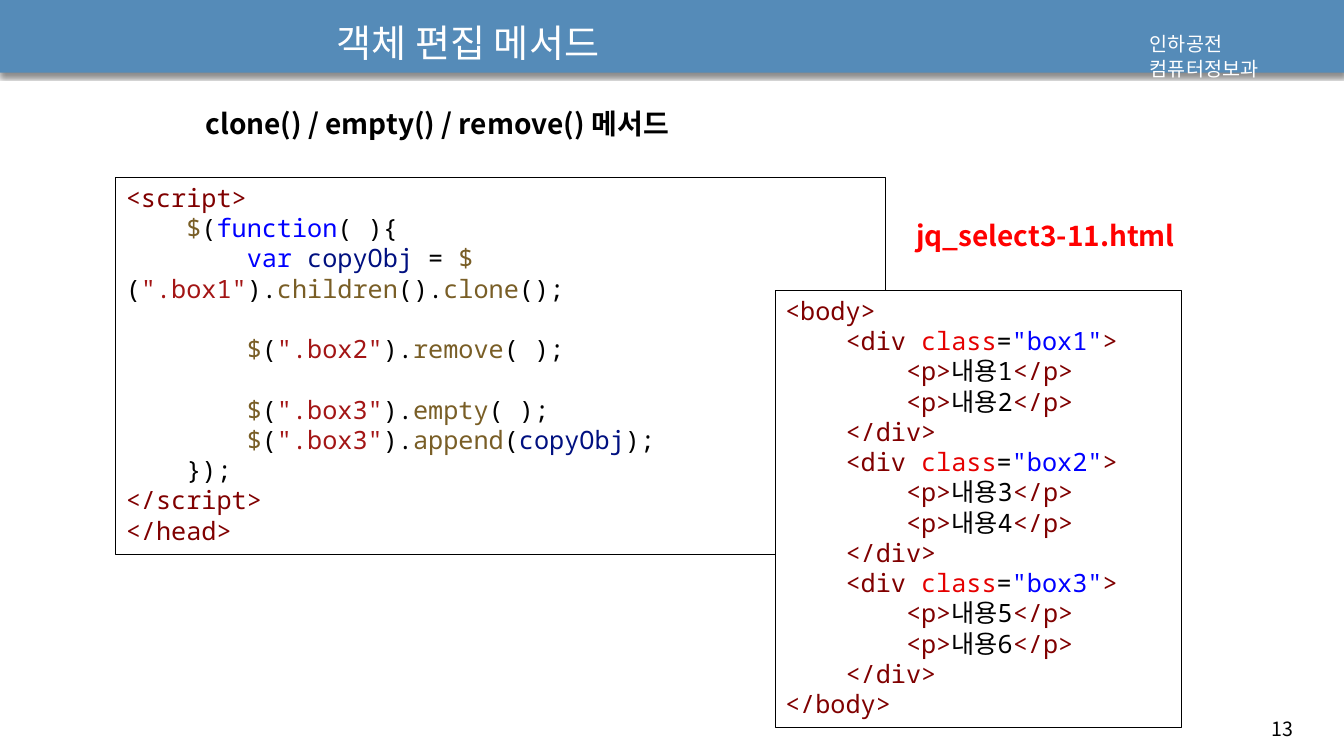
"""Build the slide on the clone, empty and remove methods."""
from lxml import etree
from pptx import Presentation
from pptx.dml.color import RGBColor
from pptx.enum import shapes, text
from pptx.oxml import ns
from pptx.util import Pt

BLACK = RGBColor(0x00, 0x00, 0x00)
WHITE = RGBColor(0xFF, 0xFF, 0xFF)
BANNER = RGBColor(0x55, 0x8B, 0xB8)
RED = RGBColor(0xFF, 0x00, 0x00)
TAG = RGBColor(0x80, 0x00, 0x00)
ATTRIBUTE = RGBColor(0xE5, 0x00, 0x00)
KEYWORD = RGBColor(0x00, 0x00, 0xFF)
VARIABLE = RGBColor(0x00, 0x10, 0x80)
METHOD = RGBColor(0x79, 0x5E, 0x26)
STRING = RGBColor(0xA3, 0x15, 0x15)
SANS = "Noto Sans CJK KR"
MONO = "Noto Sans Mono"
CODE_PITCH = 21.6


def write(box, lines, size=18, font=SANS, bold=False, pitch=None, gaps=()):
    """Fill a box with lines, each a list of (wording, colour) spans."""
    frame = box.text_frame
    frame.word_wrap = True
    frame.auto_size = text.MSO_AUTO_SIZE.NONE
    frame.vertical_anchor = text.MSO_ANCHOR.TOP
    for number, spans in enumerate(lines):
        para = frame.add_paragraph() if number else frame.paragraphs[0]
        para.alignment = text.PP_ALIGN.LEFT
        para.line_spacing = Pt(pitch or round(size * 1.278, 1))
        para.space_before = Pt(CODE_PITCH if number in gaps else 0)
        for wording, colour in spans:
            span = para.add_run()
            span.text = wording
            span.font.name = font
            span.font.size = Pt(size)
            span.font.bold = bold
            span.font.color.rgb = colour
            east = etree.SubElement(span.font._element, ns.qn("a:ea"))
            east.set("typeface", font)


deck = Presentation()
deck.slide_width, deck.slide_height = Pt(960), Pt(540)
page = deck.slides.add_slide(deck.slide_layouts[5])

title = page.shapes.title
title.left, title.top, title.width, title.height = Pt(233.3), Pt(7.9), Pt(518.4), Pt(40.3)
write(title, [[("객체 편집 메서드", WHITE)]], size=27.2)

banner = page.shapes.add_shape(
    shapes.MSO_SHAPE.RECTANGLE, Pt(0), Pt(-0.5), Pt(960), Pt(52.5))
banner.fill.solid()
banner.fill.fore_color.rgb = BANNER
banner.line.fill.background()
banner.shadow.inherit = False
effects = banner.element.spPr.find(ns.qn("a:effectLst"))
shadow = etree.SubElement(
    effects, ns.qn("a:outerShdw"), blurRad=str(Pt(3)), dist=str(Pt(2.4)),
    dir="5400000", rotWithShape="0")
shade = etree.SubElement(shadow, ns.qn("a:srgbClr"), val=str(BLACK))
etree.SubElement(shade, ns.qn("a:alpha"), val="45000")
title.element.addprevious(banner.element)

labels = [
    ("13", 901.4, 507.6, 51.1, 24.5, 14, BLACK, False),
    ("인하공전 컴퓨터정보과", 814.3, 18, 137.5, 24.5, 14, WHITE, False),
    ("clone() / empty() / remove() 메서드", 139.7, 71.3, 561.6, 31.7, 20, BLACK, True),
    ("jq_select3-11.html", 647.3, 151.2, 209.5, 31.7, 20, RED, True),
]
for wording, left, top, width, height, size, colour, bold in labels:
    label = page.shapes.add_textbox(Pt(left), Pt(top), Pt(width), Pt(height))
    write(label, [[(wording, colour)]], size=size, bold=bold)

indent = ("    ", BLACK)
deep = ("        ", BLACK)
dollar = ("$", METHOD)
opening = ("(", BLACK)
closing = (").", BLACK)
call_end = ("( );", BLACK)
copy_name = ("copyObj", VARIABLE)
box3 = [deep, dollar, opening, ('".box3"', STRING), closing]
script_lines = [
    [("<script>", TAG)],
    [indent, dollar, opening, ("function", KEYWORD), ("( ){", BLACK)],
    [deep, ("var ", KEYWORD), copy_name, (" = ", BLACK), dollar, opening,
     ('".box1"', STRING), closing, ("children", METHOD), ("().", BLACK),
     ("clone", METHOD), ("();", BLACK)],
    [deep, dollar, opening, ('".box2"', STRING), closing, ("remove", METHOD), call_end],
    box3 + [("empty", METHOD), call_end],
    box3 + [("append", METHOD), opening, copy_name, (");", BLACK)],
    [indent, ("});", BLACK)],
    [("</script>", TAG)],
    [("</head>", TAG)],
]

body_lines = [[("<body>", TAG)]]
for number in range(1, 4):
    body_lines.append([indent, ("<div ", TAG), ("class", ATTRIBUTE), ("=", BLACK),
                       (f'"box{number}"', KEYWORD), (">", TAG)])
    for item in (2 * number - 1, 2 * number):
        body_lines.append([deep, ("<p>", TAG), (f"내용{item}", BLACK), ("</p>", TAG)])
    body_lines.append([indent, ("</div>", TAG)])
body_lines.append([("</body>", TAG)])

listings = [
    (script_lines, 82.8, 126.7, 550.1, 269.3, (3, 4)),
    (body_lines, 553.7, 207.4, 290.2, 312.5, ()),
]
for lines, left, top, width, height, gaps in listings:
    listing = page.shapes.add_shape(
        shapes.MSO_SHAPE.RECTANGLE, Pt(left), Pt(top), Pt(width), Pt(height))
    listing.shadow.inherit = False
    if lines is body_lines:
        listing.fill.solid()
        listing.fill.fore_color.rgb = WHITE
    else:
        listing.fill.background()
    listing.line.color.rgb = BLACK
    listing.line.width = Pt(0.75)
    write(listing, lines, font=MONO, pitch=CODE_PITCH, gaps=gaps)

deck.save("out.pptx")
